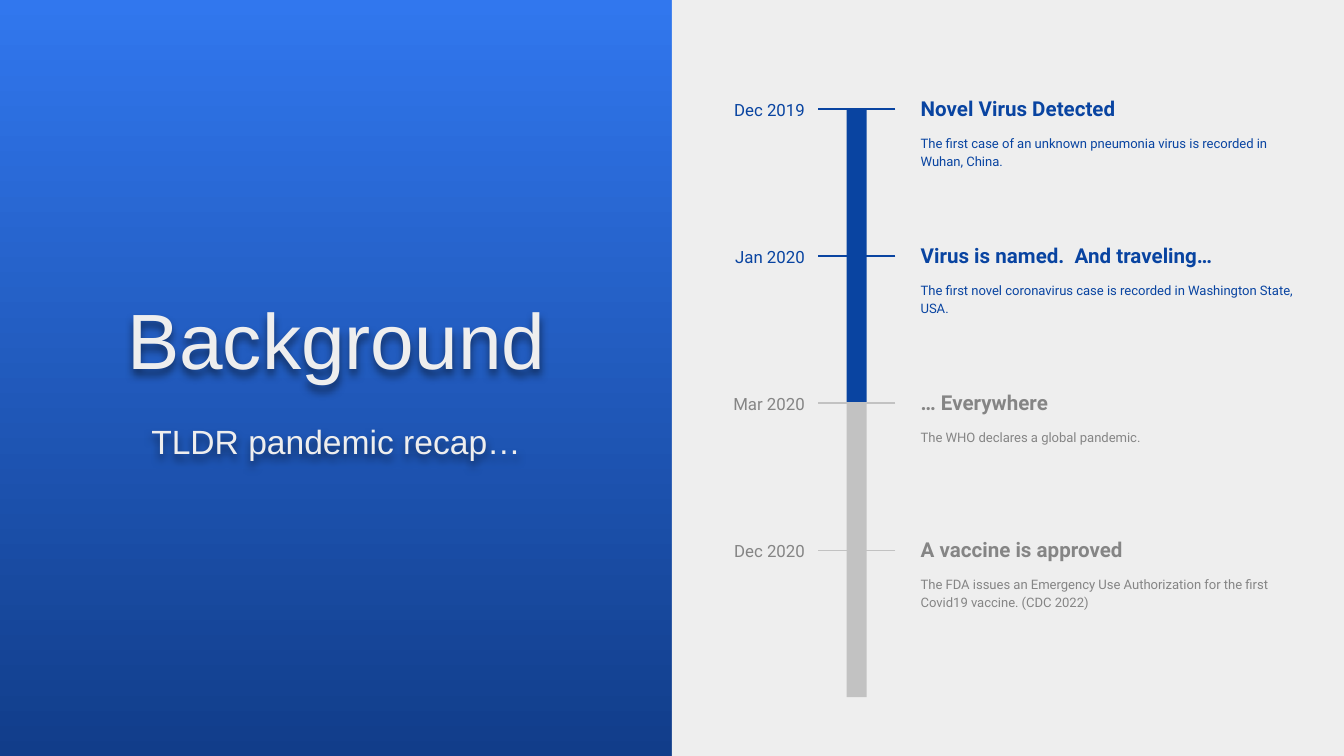
from lxml import etree
from pptx import Presentation
from pptx.dml.color import RGBColor
from pptx.enum import shapes, text
from pptx.oxml.ns import qn
from pptx.util import Cm, Pt

COLORS = {
    "sky": "3177EE",
    "navy": "113D8A",
    "panel": "EEEEEE",
    "blue": "0944A1",
    "silver": "C2C2C2",
    "gray": "858585",
    "shadow": "000000",
}


def color(name):
    return RGBColor.from_string(COLORS[name])


def write(box, words, size, ink, font="Roboto", bold=False, align="LEFT",
          anchor="TOP", spacing=1.15, after=0, shadow=False):
    """Fill a box with one formatted paragraph."""
    frame = box.text_frame
    frame.word_wrap = True
    frame.auto_size = text.MSO_AUTO_SIZE.NONE
    frame.vertical_anchor = getattr(text.MSO_ANCHOR, anchor)
    frame.margin_left = frame.margin_right = Cm(0.25)
    frame.margin_top = frame.margin_bottom = Cm(0.25)
    para = frame.paragraphs[0]
    para.alignment = getattr(text.PP_ALIGN, align)
    para.line_spacing = spacing
    para.space_before, para.space_after = Pt(0), Pt(after)
    span = para.add_run()
    span.text = words
    span.font.size, span.font.name, span.font.bold = Pt(size), font, bold
    span.font.color.rgb = color(ink)
    if shadow:
        effects = etree.SubElement(box._element.spPr, qn("a:effectLst"))
        outer = etree.SubElement(effects, qn("a:outerShdw"), blurRad="57150",
                                 dist="38100", dir="5400000", rotWithShape="0")
        tint = etree.SubElement(outer, qn("a:srgbClr"), val=COLORS["shadow"])
        etree.SubElement(tint, qn("a:alpha"), val="50000")


deck = Presentation()
deck.slide_width, deck.slide_height = Cm(25.4), Cm(14.29)
page = deck.slides.add_slide(deck.slide_layouts[5])

# Background gradient, dark at the bottom
fill = page.background.fill
fill.gradient()
fill.gradient_angle = 270
for stop, name, position in zip(fill.gradient_stops, ("sky", "navy"), (0, 1)):
    stop.color.rgb = color(name)
    stop.position = position

# Right panel
panel = page.shapes.add_shape(shapes.MSO_SHAPE.RECTANGLE,
                              Cm(12.7), 0, Cm(12.7), deck.slide_height)
panel.shadow.inherit = False
panel.fill.solid()
panel.fill.fore_color.rgb = color("panel")
panel.line.fill.background()

# Title and subtitle
title = page.shapes.title
title.left, title.top, title.width, title.height = Cm(0.74), Cm(3.43), Cm(11.23), Cm(4.11)
write(title, "Background", 42, "panel", font="Arial", align="CENTER",
      anchor="BOTTOM", spacing=1.0, shadow=True)
subtitle = page.shapes.add_textbox(Cm(0.74), Cm(7.8), Cm(11.23), Cm(3.43))
write(subtitle, "TLDR pandemic recap…", 18, "panel", font="Arial",
      align="CENTER", spacing=0.9, shadow=True)

# Timeline: date, heading, description, bar colour, text colour
EVENTS = [
    ("Dec 2019", "Novel Virus Detected",
     "The first case of an unknown pneumonia virus is recorded in Wuhan, China.",
     "blue", "blue"),
    ("Jan 2020", "Virus is named.  And traveling…",
     "The first novel coronavirus case is recorded in Washington State, USA.",
     "blue", "blue"),
    ("Mar 2020", "… Everywhere",
     "The WHO declares a global pandemic.",
     "silver", "gray"),
    ("Dec 2020", "A vaccine is approved",
     "The FDA issues an Emergency Use Authorization for the first Covid19 vaccine. (CDC 2022)",
     "silver", "gray"),
]
TOP, STEP = 2.06, 2.78

for index, (date, heading, description, bar_color, ink) in enumerate(EVENTS):
    y = TOP + index * STEP

    # Bar segment and tick
    bar = page.shapes.add_shape(shapes.MSO_SHAPE.RECTANGLE,
                                Cm(16), Cm(y), Cm(0.38), Cm(STEP))
    bar.shadow.inherit = False
    bar.fill.solid()
    bar.fill.fore_color.rgb = color(bar_color)
    bar.line.fill.background()
    tick = page.shapes.add_connector(shapes.MSO_CONNECTOR.STRAIGHT,
                                     Cm(16.92), Cm(y), Cm(15.45), Cm(y))
    tick.line.color.rgb = color(bar_color)
    tick.line.width = Pt(0.75)
    etree.SubElement(tick._element.spPr, qn("a:effectLst"))

    # Texts
    box = page.shapes.add_textbox(Cm(17.15), Cm(y - 0.56), Cm(7.57), Cm(0.76))
    write(box, heading, 11, ink, bold=True)
    box = page.shapes.add_textbox(Cm(17.15), Cm(y + 0.2), Cm(7.57), Cm(1.14))
    write(box, description, 7, ink, after=16)
    box = page.shapes.add_textbox(Cm(13.36), Cm(y - 0.48), Cm(2.1), Cm(0.97))
    write(box, date, 9, ink, align="RIGHT")

deck.save("out.pptx")
